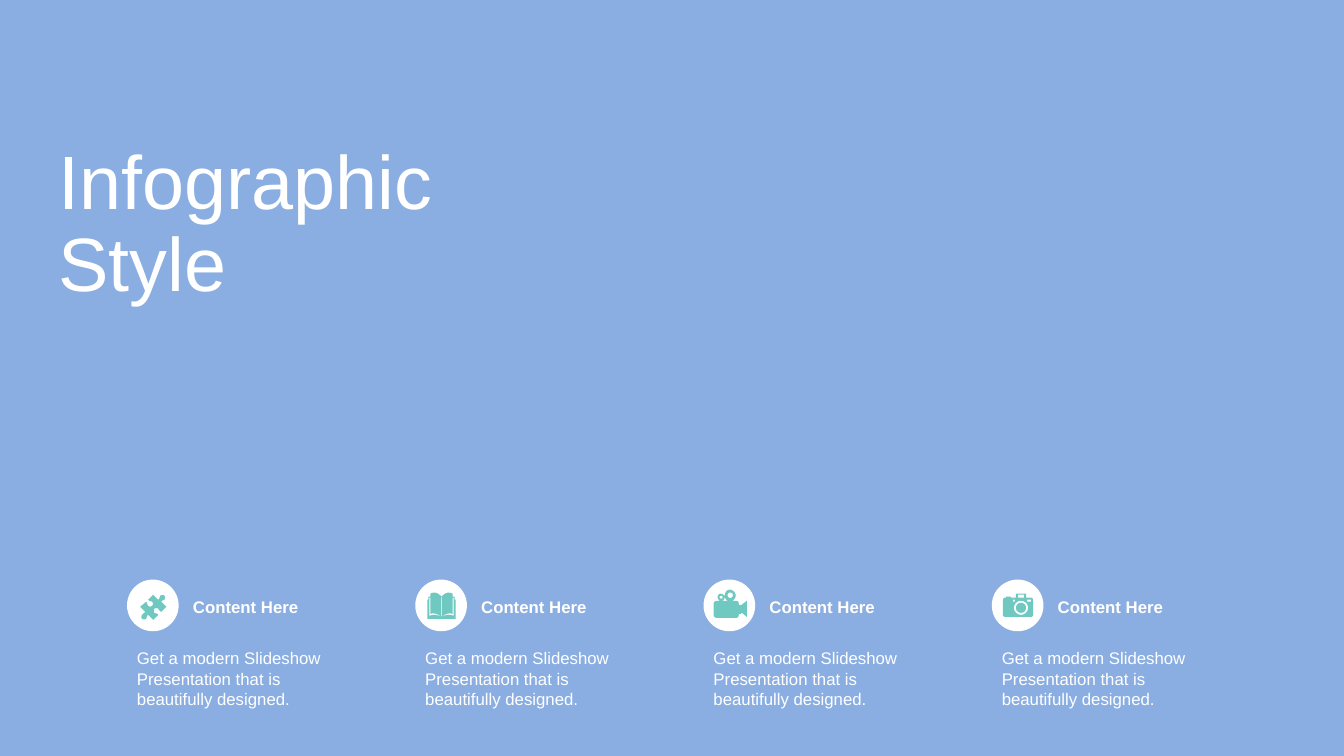
from math import cos, pi, sin

from pptx import Presentation
from pptx.dml.color import RGBColor
from pptx.enum.shapes import MSO_SHAPE as Preset
from pptx.enum.text import MSO_ANCHOR as Anchor
from pptx.util import Pt

# Content
TITLE = "Infographic Style"
HEADING = "Content Here"
BODY = "Get a modern Slideshow Presentation that is beautifully designed."
FONT = "Arial"
BLUE, WHITE, TEAL = "8AAEE2", "FFFFFF", "6FC9C1"


def ring(x, y, radius, steps=32):
    """Points of a circle."""
    angles = [2 * pi * i / steps for i in range(steps)]
    return [(x + radius * cos(a), y + radius * sin(a)) for a in angles]


def rect(left, top, right, bottom):
    return [(left, top), (right, top), (right, bottom), (left, bottom)]


def mirror(outline, axis):
    """Flip an outline left to right about a vertical axis."""
    return [tuple(2 * axis - v if i % 2 == 0 else v for i, v in enumerate(step))
            for step in outline]


# Icon outlines on a grid of 0.72 pt from the badge corner:
# two numbers are a corner, six are a Bezier curve
PUZZLE = [[
    (37, 16), (38, 17, 38, 18, 37, 20), (36, 21, 35, 20, 34, 22), (39, 27),
    (34, 32), (32, 31, 32, 30, 31, 29), (30, 28, 28, 28, 27, 29),
    (27, 29, 26, 31, 27, 33), (29, 34, 30, 33, 31, 35), (26, 40),
    (21, 35), (19, 36, 20, 37, 19, 39), (17, 40, 15, 39, 15, 39),
    (14, 38, 14, 36, 15, 35), (16, 33, 17, 34, 18, 32), (13, 27),
    (19, 22), (20, 23, 20, 25, 21, 26), (22, 27, 24, 27, 25, 26),
    (26, 25, 26, 23, 25, 22), (23, 21, 23, 22, 21, 20), (26, 15),
    (31, 20), (33, 18, 32, 18, 33, 16), (35, 15, 37, 15, 37, 16),
]]
PAGE_EDGE = [(14, 18), (15, 18), (15, 34), (19, 33, 22, 34, 26, 37),
             (21, 35, 19, 34, 14, 36)]
BOOK = [
    [(12, 39), (12, 20), (13, 20), (13, 17), (15, 17), (15, 14),
     (17, 13, 18, 13, 19, 13), (22, 13, 24, 15, 26, 17),
     (28, 15, 30, 13, 33, 13), (34, 13, 35, 13, 37, 14),
     (37, 17), (39, 17), (39, 20), (40, 20), (40, 39)],
    PAGE_EDGE,
    mirror(PAGE_EDGE, 26),
    rect(25.7, 17.5, 26.3, 36.5),
]
CAMCORDER = [
    [(26, 10), (29, 10, 32, 13, 32, 16), (32, 18, 30, 20, 29, 21), (32, 21),
     (34, 21, 35, 22, 35, 24), (35, 25), (38, 25), (43, 21), (43, 37),
     (38, 33), (37, 34), (35, 34), (35, 35), (35, 37, 34, 38, 32, 38),
     (13, 38), (12, 38, 10, 37, 10, 35), (10, 24), (10, 22, 12, 21, 13, 21),
     (16, 21), (15, 20, 14, 19, 14, 17), (14, 16, 15, 14, 17, 14),
     (19, 14, 21, 16, 21, 17), (21, 19, 20, 20, 19, 21), (24, 21),
     (22, 20, 21, 18, 21, 16), (21, 13, 23, 10, 26, 10)],
    ring(17.5, 17.5, 1.5),
    ring(26.5, 15.5, 2.7),
]
CAMERA = [
    [(25, 14), (33, 14), (34, 14, 34, 14, 34, 15), (34, 18), (39, 18),
     (40, 18, 41, 19, 41, 21), (41, 35), (41, 36, 40, 37, 39, 37),
     (13, 37), (12, 37, 11, 36, 11, 35), (11, 21), (11, 19, 12, 18, 13, 18),
     (14, 18), (14, 17), (19, 17), (19, 18), (24, 18), (24, 15),
     (24, 14, 24, 14, 25, 14)],
    ring(29, 28, 7),
    ring(29, 28, 5),
    rect(21, 20, 23, 22),
    rect(35, 20, 39, 22),
    rect(26, 15, 32, 18),
]
ICONS = [PUZZLE, BOOK, CAMCORDER, CAMERA]

# Layout in points
FIRST_LEFT, PITCH = 90.75, 205.9
BADGE_TOP, BADGE_SIZE = 414, 36.9
GRID = 0.72


def color(value):
    return RGBColor.from_string(value)


def paint(shape, value):
    shape.shadow.inherit = False
    shape.fill.solid()
    shape.fill.fore_color.rgb = color(value)
    shape.line.fill.background()


def add_text(page, text, left, top, width, height, size, bold=False):
    box = page.shapes.add_textbox(Pt(left), Pt(top), Pt(width), Pt(height))
    box.text_frame.word_wrap = True
    para = box.text_frame.paragraphs[0]
    span = para.add_run()
    span.text = text
    span.font.name = FONT
    span.font.size = Pt(size)
    span.font.bold = bold
    span.font.color.rgb = color(WHITE)
    return box


def flatten(outline, steps=6):
    """Turn the curves of an outline into short lines."""
    points = []
    for step in outline:
        if len(step) == 2:
            points.append(step)
            continue
        x0, y0 = points[-1]
        x1, y1, x2, y2, x3, y3 = step
        for i in range(1, steps + 1):
            t = i / steps
            a, b, c, d = (1 - t) ** 3, 3 * t * (1 - t) ** 2, 3 * t * t * (1 - t), t ** 3
            points.append((a * x0 + b * x1 + c * x2 + d * x3,
                           a * y0 + b * y1 + c * y2 + d * y3))
    return points


def add_icon(page, outlines, left, top):
    builder = None
    for outline in outlines:
        points = [(Pt(left + GRID * x), Pt(top + GRID * y)) for x, y in flatten(outline)]
        if builder is None:
            builder = page.shapes.build_freeform(*points[0])
        else:
            builder.move_to(*points[0])
        builder.add_line_segments(points[1:], close=True)
    paint(builder.convert_to_shape(), TEAL)


def main():
    deck = Presentation()
    deck.slide_width, deck.slide_height = Pt(960), Pt(540)
    page = deck.slides.add_slide(deck.slide_layouts[6])
    page.background.fill.solid()
    page.background.fill.fore_color.rgb = color(BLUE)

    # Title
    title = add_text(page, TITLE, 34.6, 98.6, 355, 125.3, 54)
    title.text_frame.vertical_anchor = Anchor.MIDDLE
    title.text_frame.paragraphs[0].line_spacing = 0.9

    # Four columns
    for index, icon in enumerate(ICONS):
        left = FIRST_LEFT + index * PITCH
        badge = page.shapes.add_shape(Preset.OVAL, Pt(left), Pt(BADGE_TOP),
                                      Pt(BADGE_SIZE), Pt(BADGE_SIZE))
        paint(badge, WHITE)
        add_icon(page, icon, left, BADGE_TOP)
        add_text(page, HEADING, left + 40, 422.7, 105, 21.6, 12, bold=True)
        add_text(page, BODY, left, 459.4, 159.1, 51, 12)

    deck.save("out.pptx")


if __name__ == "__main__":
    main()
